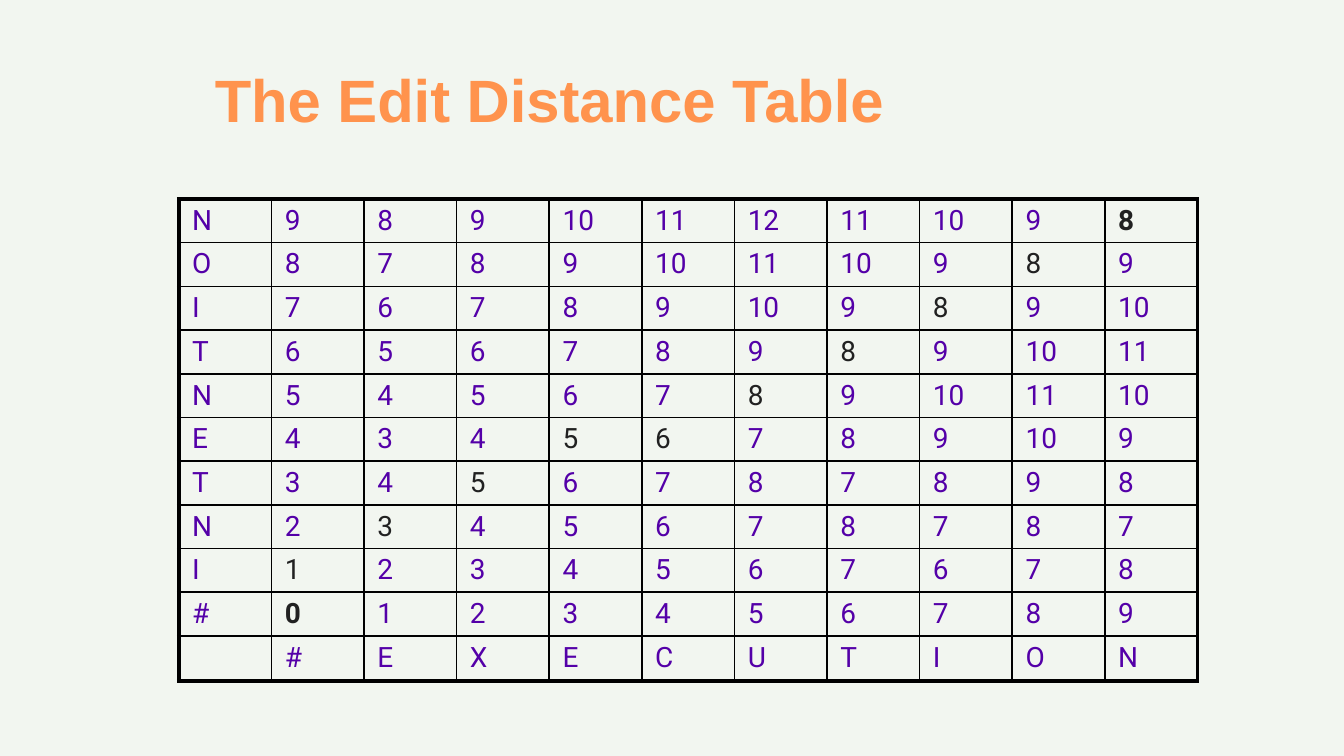
from lxml.etree import SubElement
from pptx import Presentation
from pptx.dml.color import RGBColor
from pptx.enum.text import MSO_ANCHOR
from pptx.oxml.ns import qn
from pptx.util import Inches, Pt

WIDTH = 10
HEIGHT = WIDTH * 9 / 16
PURPLE, DARK, ORANGE, BLACK, PALE = "5400A8", "212121", "FF934D", "000000", "F2F6F0"
THIN, THICK = 1, 2.25

# Rows of the table, from the last letter of the source word to the first
ROWS = [line.split() for line in (
    "N 9 8 9 10 11 12 11 10 9 8",
    "O 8 7 8 9 10 11 10 9 8 9",
    "I 7 6 7 8 9 10 9 8 9 10",
    "T 6 5 6 7 8 9 8 9 10 11",
    "N 5 4 5 6 7 8 9 10 11 10",
    "E 4 3 4 5 6 7 8 9 10 9",
    "T 3 4 5 6 7 8 7 8 9 8",
    "N 2 3 4 5 6 7 8 7 8 7",
    "I 1 2 3 4 5 6 7 6 7 8",
    "# 0 1 2 3 4 5 6 7 8 9",
)] + [["", *"#EXECUTION"]]

# Alignment path as (row, column), and its two ends
PATH = {(0, 10), (1, 9), (2, 8), (3, 7), (4, 6), (5, 5),
        (5, 4), (6, 3), (7, 2), (8, 1), (9, 1)}
ENDS = {(0, 10), (9, 1)}


def color(value):
    return RGBColor.from_string(value)


def set_all(target, values):
    for name, value in values.items():
        setattr(target, name, value)


def add_run(p, text, size, font, fill, bold=False):
    r = p.add_run()
    r.text = text
    set_all(r.font, {"size": Pt(size), "name": font, "bold": bold})
    r.font.color.rgb = color(fill)


def add_title(s, text):
    sp = s.shapes.add_textbox(Inches(0.15 * WIDTH), Inches(0.42),
                              Inches(8.17), Inches(0.81))
    tf = sp.text_frame
    set_all(tf, {"word_wrap": True, "vertical_anchor": MSO_ANCHOR.TOP,
                 "margin_left": Inches(0.1), "margin_right": Inches(0.1),
                 "margin_top": Inches(0.05), "margin_bottom": Inches(0.05)})
    add_run(tf.paragraphs[0], text, 32, "Arial", ORANGE, True)


def set_borders(cell, widths):
    tc_pr = cell._tc.get_or_add_tcPr()
    for index, (side, width) in enumerate(widths.items()):
        ln = tc_pr.makeelement(qn(f"a:ln{side}"), {"w": str(Pt(width))})
        fill = SubElement(ln, qn("a:solidFill"))
        SubElement(fill, qn("a:srgbClr"), val=BLACK)
        tc_pr.insert(index, ln)


def fill_cell(cell, text, fill, bold):
    cell.fill.background()
    set_all(cell, {"margin_left": Inches(0.1), "margin_right": Inches(0.1),
                   "margin_top": Inches(0.04), "margin_bottom": Inches(0.04)})
    p = cell.text_frame.paragraphs[0]
    if text:
        spacing = SubElement(p._p.get_or_add_pPr(), qn("a:spcBef"))
        SubElement(spacing, qn("a:spcPct"), val="20000")
        add_run(p, text, 15, "Roboto", fill, bold)
    else:
        # Keeps the empty cell from stretching its row
        SubElement(p._p, qn("a:endParaRPr"), sz="1500")


def add_distance_table(s, left, top, width, height):
    n_rows, n_cols = len(ROWS), len(ROWS[0])
    frame = s.shapes.add_table(n_rows, n_cols, Inches(left), Inches(top),
                               Inches(width), Inches(height))
    table = frame.table
    set_all(table, {"first_row": False, "horz_banding": False})
    for row in table.rows:
        row.height = Inches(height / n_rows)
    for column in table.columns:
        column.width = Inches(width / n_cols)

    for i, values in enumerate(ROWS):
        for j, text in enumerate(values):
            cell = table.cell(i, j)
            fill_cell(cell, text, DARK if (i, j) in PATH else PURPLE, (i, j) in ENDS)
            outer = {"L": j == 0, "R": j == n_cols - 1,
                     "T": i == 0, "B": i == n_rows - 1}
            set_borders(cell, {side: THICK if edge else THIN
                               for side, edge in outer.items()})


def main():
    prs = Presentation()
    set_all(prs, {"slide_width": Inches(WIDTH), "slide_height": Inches(HEIGHT)})
    s = prs.slides.add_slide(prs.slide_layouts[6])

    # Background
    s.background.fill.solid()
    s.background.fill.fore_color.rgb = color(PALE)

    # Table and title
    add_distance_table(s, 1.33, 1.48, 7.58, 3.58)
    add_title(s, "The Edit Distance Table")

    prs.save("out.pptx")


if __name__ == "__main__":
    main()
